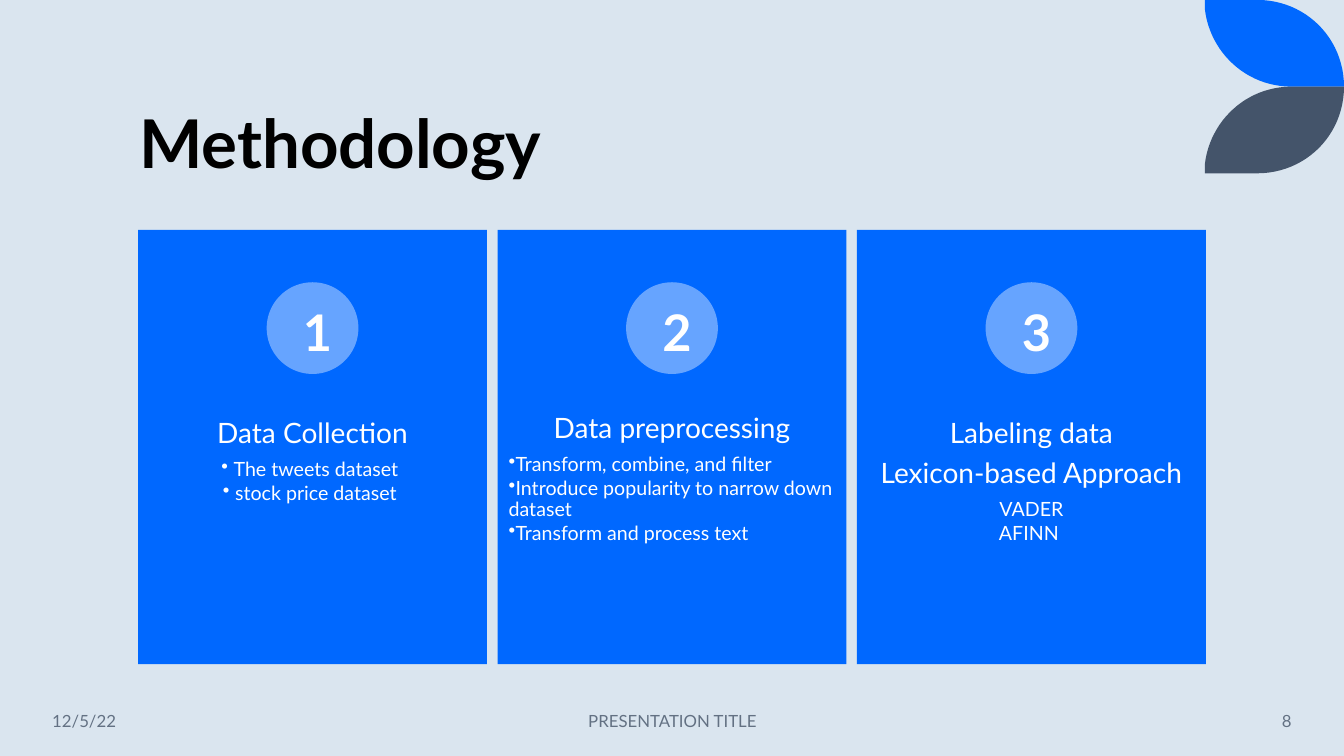
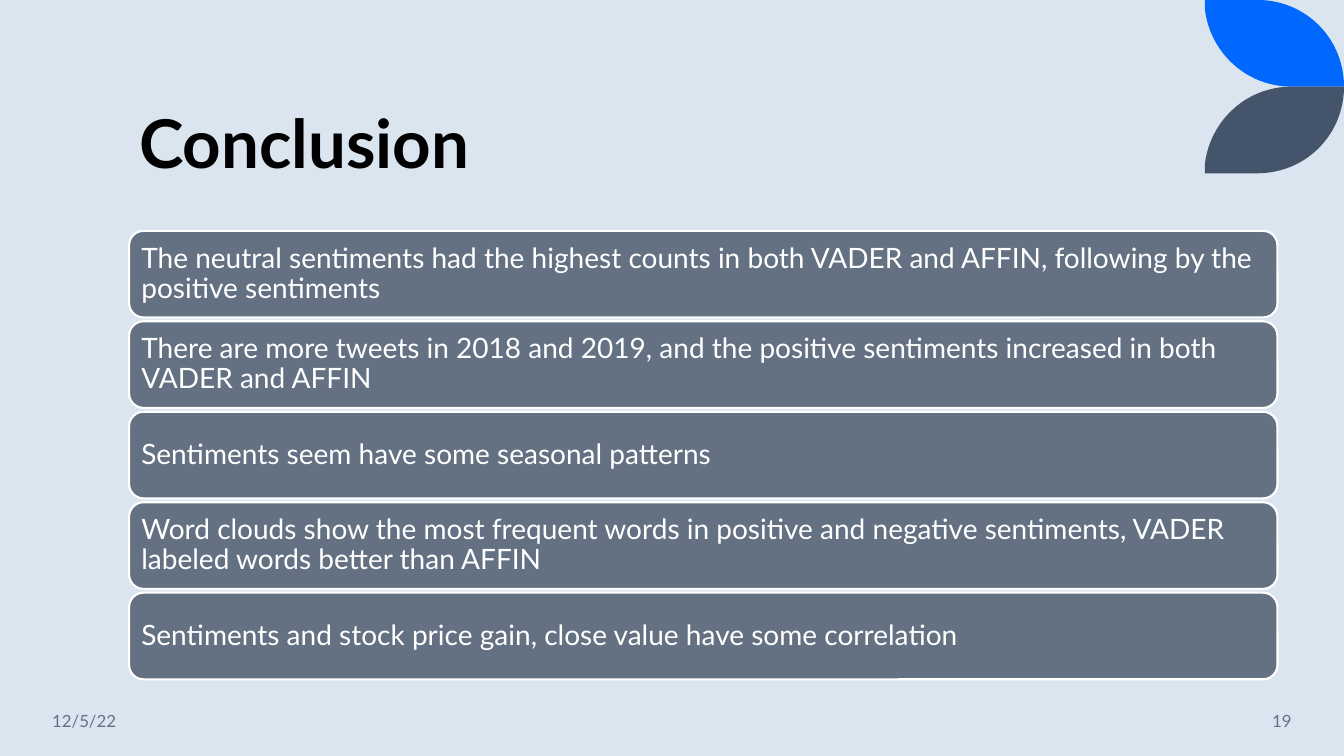
from dataclasses import dataclass
from typing import Any, Optional

from lxml.etree import SubElement
from pptx import Presentation
from pptx.dml.color import RGBColor
from pptx.enum.shapes import MSO_SHAPE
from pptx.enum.text import MSO_ANCHOR, MSO_AUTO_SIZE, PP_ALIGN
from pptx.oxml.ns import qn
from pptx.util import Inches, Pt


@dataclass(frozen=True)
class Theme:
    font: str = "Lato"
    background: str = "DAE5EF"
    blue: str = "0068FF"
    light_blue: str = "66A4FF"
    navy: str = "44546A"
    slate: str = "637183"
    white: str = "FFFFFF"
    black: str = "000000"
    title_size: int = 48
    number_size: int = 36
    body_size: int = 20
    detail_size: int = 14
    footer_size: int = 12


@dataclass(frozen=True)
class Box:
    left: float
    top: float
    width: float
    height: float

    def lengths(self) -> tuple:
        return tuple(Inches(value) for value in (self.left, self.top, self.width, self.height))


@dataclass(frozen=True)
class TextStyle:
    size: int
    color: str
    bold: bool = False
    alignment: PP_ALIGN = PP_ALIGN.LEFT
    line_spacing: float = 1.0
    space_after: float = 0


@dataclass(frozen=True)
class Card:
    headings: tuple[str, ...]
    details: tuple[str, ...]
    inset: float = 0.16
    detail_alignment: PP_ALIGN = PP_ALIGN.CENTER
    bullet: str = "•"


@dataclass(frozen=True)
class Footer:
    number: str
    caption: str = ""
    date: str = "12/5/22"


THEME = Theme()
TITLE_BOX = Box(1.28, 0.42, 10.69, 1.45)
TITLE_STYLE = TextStyle(THEME.title_size, THEME.black, bold=True, line_spacing=0.9)
NUMBER_STYLE = TextStyle(THEME.number_size, THEME.white, bold=True, alignment=PP_ALIGN.CENTER)
HEADING_STYLE = TextStyle(
    THEME.body_size, THEME.white, alignment=PP_ALIGN.CENTER, line_spacing=0.9, space_after=7
)
BAR_STYLE = TextStyle(THEME.body_size, THEME.white, line_spacing=0.9, space_after=7)

CARDS_BOX = Box(1.37, 2.28, 10.59, 4.31)
CARD_WIDTH = 3.46
CIRCLE_SIZE = 0.91
BARS_BOX = Box(1.28, 2.29, 11.39, 4.45)
BAR_HEIGHT = 0.86
LEAF_LEFT, LEAF_HEIGHT, CURVE_STEPS = 11.95, 0.86, 24

CARDS = (
    Card(("Data Collection",), ("The tweets dataset", "stock price dataset")),
    Card(
        ("Data preprocessing",),
        (
            "Transform, combine, and filter",
            "Introduce popularity to narrow down dataset",
            "Transform and process text",
        ),
        inset=0.11,
        detail_alignment=PP_ALIGN.LEFT,
    ),
    Card(("Labeling data", "Lexicon-based Approach"), ("VADER", "AFINN "), bullet=""),
)
CONCLUSIONS = (
    "The neutral sentiments had the highest counts in both VADER and AFFIN, "
    "following by the positive sentiments",
    "There are more tweets in 2018 and 2019, and the positive sentiments "
    "increased in both VADER and AFFIN",
    "Sentiments seem have some seasonal patterns",
    "Word clouds show the most frequent words in positive and negative sentiments, "
    "VADER labeled words better than AFFIN",
    "Sentiments and stock price gain, close value have some correlation",
)


def apply_format(target: Any, values: dict[str, Any]) -> None:
    for name, value in values.items():
        setattr(target, name, value)


def format_frame(frame: Any, anchor: MSO_ANCHOR, insets: tuple = (0.1, 0.05, 0.1, 0.05)) -> None:
    sides = ("margin_left", "margin_top", "margin_right", "margin_bottom")
    margins = {side: Inches(inset) for side, inset in zip(sides, insets)}
    apply_format(
        frame,
        {"word_wrap": True, "auto_size": MSO_AUTO_SIZE.NONE, "vertical_anchor": anchor, **margins},
    )


def write_paragraph(paragraph: Any, text: str, style: TextStyle) -> None:
    apply_format(
        paragraph,
        {
            "alignment": style.alignment,
            "line_spacing": style.line_spacing,
            "space_before": Pt(0),
            "space_after": Pt(style.space_after),
        },
    )
    run = paragraph.add_run()
    run.text = text
    apply_format(run.font, {"name": THEME.font, "size": Pt(style.size), "bold": style.bold})
    run.font.color.rgb = RGBColor.from_string(style.color)


def set_bullet(paragraph: Any, bullet: str) -> None:
    properties = paragraph._p.get_or_add_pPr()
    properties.set("marL", "0")
    properties.set("indent", str(-Inches(0.12)))
    if bullet:
        SubElement(properties, qn("a:buChar")).set("char", bullet)
    else:
        SubElement(properties, qn("a:buNone"))


def paint(shape: Any, fill: str, line: Optional[str] = None) -> None:
    shape.shadow.inherit = False
    shape.fill.solid()
    shape.fill.fore_color.rgb = RGBColor.from_string(fill)
    if line:
        shape.line.color.rgb = RGBColor.from_string(line)
        shape.line.width = Pt(1.5)
    else:
        shape.line.fill.background()


def add_block(
    slide: Any, kind: MSO_SHAPE, box: Box, fill: str, line: Optional[str] = None
) -> Any:
    shape = slide.shapes.add_shape(kind, *box.lengths())
    paint(shape, fill, line)
    return shape


def curve_points(*controls: tuple[float, float]) -> list[tuple[float, float]]:
    points = []
    for step in range(1, CURVE_STEPS + 1):
        t = step / CURVE_STEPS
        weights = ((1 - t) ** 3, 3 * t * (1 - t) ** 2, 3 * t**2 * (1 - t), t**3)
        points.append(
            tuple(sum(w * control[axis] for w, control in zip(weights, controls)) for axis in (0, 1))
        )
    return points


def add_leaf(slide: Any, color: str, mirrored: bool) -> None:
    outline = [
        (11.95, 0),
        (12.47, 0),
        *curve_points((12.47, 0), (12.95, 0), (13.33, 0.38), (13.33, 0.86)),
        (12.81, 0.86),
        *curve_points((12.81, 0.86), (12.36, 0.86), (12, 0.52), (LEAF_LEFT, 0.09)),
    ]
    points = [
        (Inches(x), Inches(2 * LEAF_HEIGHT - y if mirrored else y)) for x, y in outline
    ]
    builder = slide.shapes.build_freeform(*points[0])
    builder.add_line_segments(points[1:], close=True)
    paint(builder.convert_to_shape(), color)


def add_footer(slide: Any, footer: Footer) -> None:
    entries = (
        (footer.date, 0.42, 1.86, PP_ALIGN.LEFT),
        (footer.caption, 4.42, 4.5, PP_ALIGN.CENTER),
        (footer.number, 11.1, 1.81, PP_ALIGN.RIGHT),
    )
    for text, left, width, alignment in entries:
        if text:
            frame = slide.shapes.add_textbox(*Box(left, 6.95, width, 0.4).lengths()).text_frame
            format_frame(frame, MSO_ANCHOR.MIDDLE)
            style = TextStyle(THEME.footer_size, THEME.slate, alignment=alignment)
            write_paragraph(frame.paragraphs[0], text, style)


def add_base_slide(presentation: Any, title: str, footer: Footer) -> Any:
    slide = presentation.slides.add_slide(presentation.slide_layouts[5])
    add_leaf(slide, THEME.blue, mirrored=False)
    add_leaf(slide, THEME.navy, mirrored=True)
    placeholder = slide.shapes.title
    apply_format(
        placeholder, dict(zip(("left", "top", "width", "height"), TITLE_BOX.lengths()))
    )
    format_frame(placeholder.text_frame, MSO_ANCHOR.BOTTOM)
    write_paragraph(placeholder.text_frame.paragraphs[0], title, TITLE_STYLE)
    add_footer(slide, footer)
    return slide


def add_card(slide: Any, card: Card, number: int, left: float) -> None:
    box = Box(left, CARDS_BOX.top, CARD_WIDTH, CARDS_BOX.height)
    add_block(slide, MSO_SHAPE.RECTANGLE, box, THEME.blue)

    circle_box = Box(left + (CARD_WIDTH - CIRCLE_SIZE) / 2, 2.8, CIRCLE_SIZE, CIRCLE_SIZE)
    circle = add_block(slide, MSO_SHAPE.OVAL, circle_box, THEME.light_blue)
    format_frame(circle.text_frame, MSO_ANCHOR.MIDDLE, (0.1, 0.07, 0, 0))
    write_paragraph(circle.text_frame.paragraphs[0], str(number), NUMBER_STYLE)

    frame = slide.shapes.add_textbox(*Box(left, 4, CARD_WIDTH, 1.72).lengths()).text_frame
    format_frame(frame, MSO_ANCHOR.TOP, (card.inset,) * 4)
    for index, heading in enumerate(card.headings):
        paragraph = frame.add_paragraph() if index else frame.paragraphs[0]
        write_paragraph(paragraph, heading, HEADING_STYLE)
    detail_style = TextStyle(
        THEME.detail_size,
        THEME.white,
        alignment=card.detail_alignment,
        line_spacing=0.9,
        space_after=2.1,
    )
    for detail in card.details:
        paragraph = frame.add_paragraph()
        paragraph.level = 1
        write_paragraph(paragraph, detail, detail_style)
        set_bullet(paragraph, card.bullet)


def build_methodology(presentation: Any) -> None:
    slide = add_base_slide(presentation, "Methodology", Footer("8", "PRESENTATION TITLE"))
    pitch = (CARDS_BOX.width - CARD_WIDTH) / (len(CARDS) - 1)
    for index, card in enumerate(CARDS):
        add_card(slide, card, index + 1, CARDS_BOX.left + index * pitch)


def build_conclusion(presentation: Any) -> None:
    slide = add_base_slide(presentation, "Conclusion", Footer("19"))
    pitch = (BARS_BOX.height - BAR_HEIGHT) / (len(CONCLUSIONS) - 1)
    for index, conclusion in enumerate(CONCLUSIONS):
        box = Box(BARS_BOX.left, BARS_BOX.top + index * pitch, BARS_BOX.width, BAR_HEIGHT)
        bar = add_block(slide, MSO_SHAPE.ROUNDED_RECTANGLE, box, THEME.slate, THEME.white)
        format_frame(bar.text_frame, MSO_ANCHOR.MIDDLE, (0.08,) * 4)
        write_paragraph(bar.text_frame.paragraphs[0], conclusion, BAR_STYLE)


def main() -> None:
    presentation = Presentation()
    apply_format(presentation, {"slide_width": Inches(13.33), "slide_height": Inches(7.5)})
    background = presentation.slide_master.background.fill
    background.solid()
    background.fore_color.rgb = RGBColor.from_string(THEME.background)
    build_methodology(presentation)
    build_conclusion(presentation)
    presentation.save("out.pptx")


if __name__ == "__main__":
    main()
